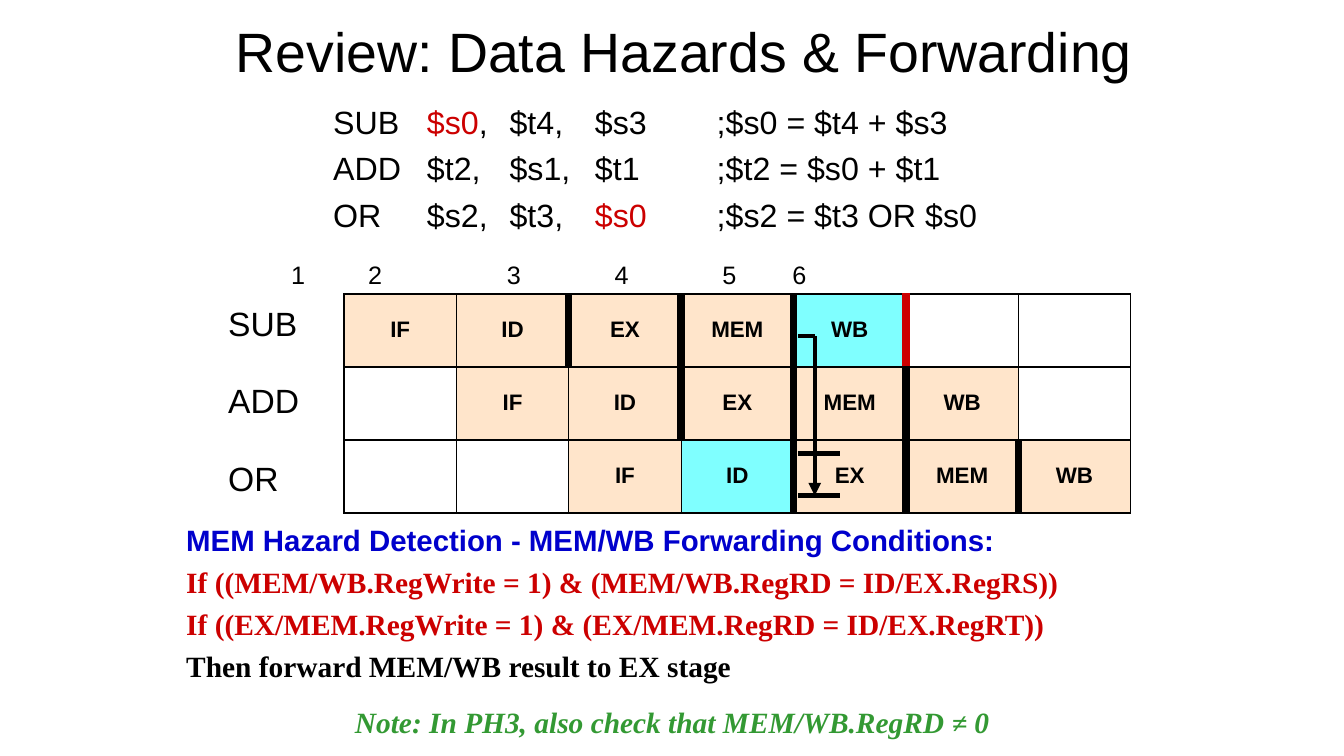
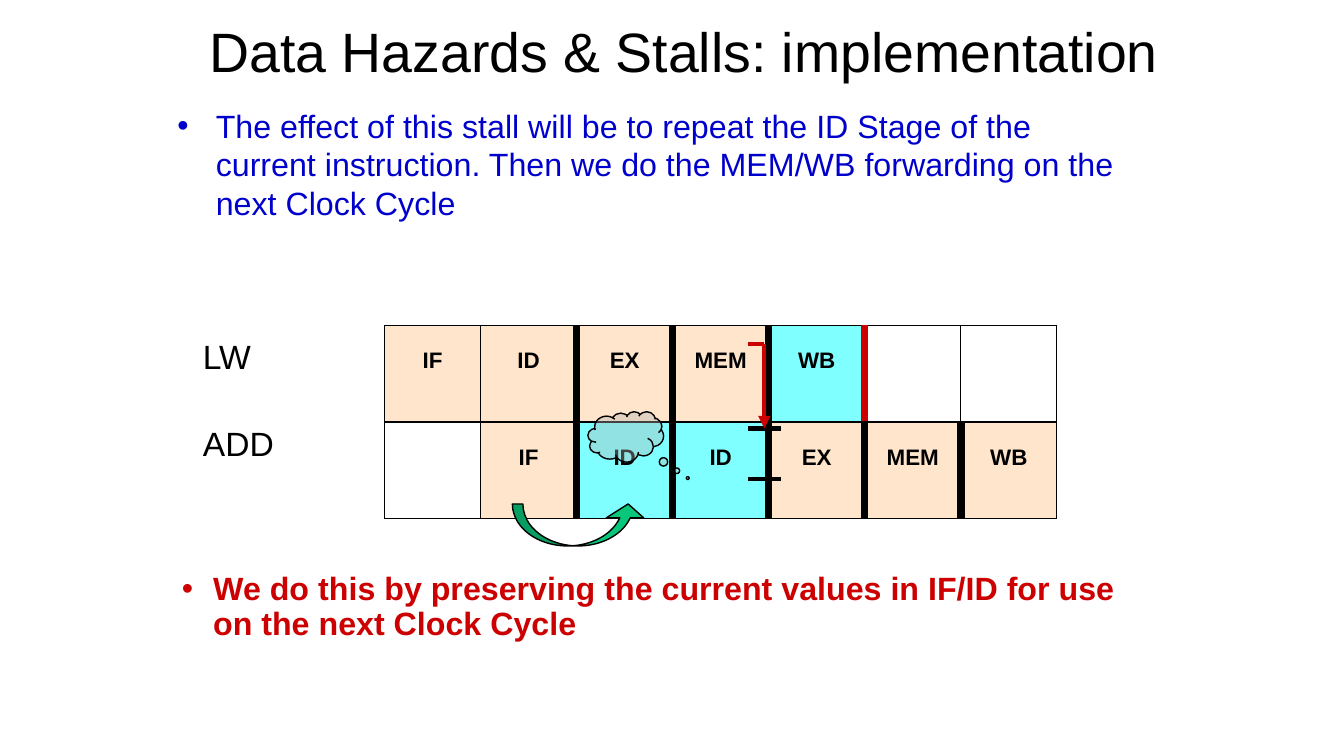
from dataclasses import dataclass, replace

from lxml import etree
from pptx import Presentation
from pptx.dml.color import RGBColor
from pptx.enum.shapes import MSO_CONNECTOR, MSO_SHAPE
from pptx.enum.text import MSO_ANCHOR, MSO_AUTO_SIZE, PP_ALIGN
from pptx.oxml import parse_xml
from pptx.oxml.ns import nsdecls, qn
from pptx.util import Pt

CENTER = PP_ALIGN.CENTER
MIDDLE = MSO_ANCHOR.MIDDLE
NO_AUTOFIT = MSO_AUTO_SIZE.NONE
STRAIGHT = MSO_CONNECTOR.STRAIGHT
CLOUD = MSO_SHAPE.CLOUD_CALLOUT
CURVED_ARROW = MSO_SHAPE.CURVED_UP_ARROW

BLACK, BLUE, RED, GREEN = "000000", "0000CC", "CC0000", "339933"
PEACH, CYAN, GRAY, EMERALD = "FFCC99", "00FFFF", "B2B2B2", "09C77A"
SANS, SERIF = "Arial", "Times New Roman"
TITLE_BOX = (137.5, 12, 702, 48)
COLUMN_COUNT = 7
THIN, THICK = 1, 6


@dataclass(frozen=True)
class Style:
    """Character formatting of one span."""

    size: float
    color: str = BLACK
    font: str = SANS
    bold: bool = False
    italic: bool = False


@dataclass(frozen=True)
class StageRow:
    """One instruction's stages, with the columns that end in a thick edge."""

    start: int
    stages: tuple
    latches: range
    marked: tuple = ()
    write_edge: int = -1


TITLE = Style(39.6)
CODE = Style(23)
LABEL = Style(24)
CYCLE = Style(18)
STAGE = Style(16, bold=True)
HEADING = Style(21, BLUE, bold=True)
CONDITION = Style(21, RED, SERIF, bold=True)
NOTE = replace(CONDITION, color=GREEN, italic=True)


def rgb(value):
    """Turn a hex string into a colour."""
    return RGBColor.from_string(value)


def points(values):
    """Turn numbers into point lengths."""
    return [Pt(value) for value in values]


def set_fill(fill, color, opacity=100):
    """Fill with a solid colour at an opacity in percent."""
    fill.solid()
    fill.fore_color.rgb = rgb(color)
    if opacity < 100:
        color_node = fill._xPr.find(qn("a:solidFill"))[0]
        etree.SubElement(color_node, qn("a:alpha")).set("val", str(opacity * 1000))


def add_span(para, text, style):
    """Add one formatted run."""
    span = para.add_run()
    span.text = text
    font = span.font
    font.name, font.size = style.font, Pt(style.size)
    font.bold, font.italic = style.bold, style.italic
    font.color.rgb = rgb(style.color)


def add_para(frame, spans, gap=0, spacing=None, align=None):
    """Add a paragraph of spans, with the gap left out on the first one."""
    para = frame.paragraphs[0]
    if para.runs:
        para = frame.add_paragraph()
        para.space_before = Pt(gap)
    if spacing:
        para.line_spacing = spacing
    if align:
        para.alignment = align
    for text, style in spans:
        add_span(para, text, style)
    return para


def set_tabs(para, stops):
    """Give a paragraph left tab stops."""
    tab_list = etree.SubElement(para._p.get_or_add_pPr(), qn("a:tabLst"))
    for stop in stops:
        etree.SubElement(tab_list, qn("a:tab"), pos=str(Pt(stop)), algn="l")


def set_bullet(para, indent):
    """Give a paragraph a round bullet and a hanging indent."""
    properties = para._p.get_or_add_pPr()
    properties.set("marL", str(Pt(indent)))
    properties.set("indent", str(-Pt(indent)))
    etree.SubElement(properties, qn("a:buFont")).set("typeface", SANS)
    etree.SubElement(properties, qn("a:buChar")).set("char", "•")


def add_frame(page, box):
    """Add a wrapping text box without margins and return its frame."""
    frame = page.shapes.add_textbox(*points(box)).text_frame
    frame.word_wrap = True
    frame.margin_left = frame.margin_right = frame.margin_top = frame.margin_bottom = 0
    return frame


def add_page(deck, title):
    """Add a title-only slide with its formatted title."""
    page = deck.slides.add_slide(deck.slide_layouts[5])
    holder = page.shapes.title
    holder.left, holder.top, holder.width, holder.height = points(TITLE_BOX)
    frame = holder.text_frame
    frame.word_wrap = True
    frame.auto_size = NO_AUTOFIT
    frame.vertical_anchor = MIDDLE
    add_para(frame, [(title, TITLE)], align=CENTER)
    return page


def add_code(page, box):
    """Write the instruction listing in tabbed columns."""
    frame = add_frame(page, box)
    red = replace(CODE, color=RED)
    listing = (
        [("SUB\t", CODE), ("$s0", red), (",\t$t4,\t$s3\t;$s0 = $t4 + $s3", CODE)],
        [("ADD\t$t2,\t$s1,\t$t1\t;$t2 = $s0 + $t1", CODE)],
        [("OR\t$s2,\t$t3,\t", CODE), ("$s0", red), ("\t;$s2 = $t3 OR $s0", CODE)],
    )
    for spans in listing:
        set_tabs(add_para(frame, spans, gap=5.7), (67, 126, 187, 274))


def add_cycles(page, box):
    """Write the clock cycle numbers above the pipeline."""
    para = add_para(add_frame(page, box), [("1\t2\t3\t4\t5\t6", CYCLE)])
    set_tabs(para, (55, 154, 231, 308, 358))


def add_labels(page, box, names, gap):
    """Write the instruction names beside the pipeline."""
    frame = add_frame(page, box)
    for name in names:
        add_para(frame, [(name, LABEL)], gap=gap)


def add_bullet(page, box, text, style, indent, spacing):
    """Write one bulleted statement."""
    para = add_para(add_frame(page, box), [(text, style)], spacing=spacing)
    set_bullet(para, indent)


def set_borders(cell, left, right):
    """Draw a cell's four edges; left and right are colour and width pairs."""
    thin = (BLACK, THIN)
    edges = (("L", left), ("R", right), ("T", thin), ("B", thin))
    for index, (side, (color, width)) in enumerate(edges):
        cell._tc.get_or_add_tcPr().insert(index, parse_xml(
            f'<a:ln{side} {nsdecls("a")} w="{Pt(width)}"><a:solidFill>'
            f'<a:srgbClr val="{color}"/></a:solidFill></a:ln{side}>'))


def edge_after(row, column):
    """Return the colour and width of the edge to the right of a column."""
    if column >= 0 and column == row.write_edge:
        return RED, THICK
    return BLACK, THICK if column in row.latches else THIN


def add_pipeline(page, box, rows):
    """Draw the pipeline table inside its box."""
    table = page.shapes.add_table(len(rows), COLUMN_COUNT, *points(box)).table
    table.first_row = table.horz_banding = False
    for column in table.columns:
        column.width = Pt(box[2] / COLUMN_COUNT)
    for row_index, row in enumerate(rows):
        table.rows[row_index].height = Pt(box[3] / len(rows))
        for column in range(COLUMN_COUNT):
            cell = table.cell(row_index, column)
            cell.fill.background()
            if row.start <= column < row.start + len(row.stages):
                set_fill(cell.fill, CYAN if column in row.marked else PEACH, 50)
                cell.margin_left = cell.margin_right = cell.margin_bottom = Pt(3.6)
                cell.margin_top = Pt(18)
                stage = row.stages[column - row.start]
                add_para(cell.text_frame, [(stage, STAGE)], spacing=0.9, align=CENTER)
            set_borders(cell, edge_after(row, column - 1), edge_after(row, column))


def add_line(page, start, end, color, arrow=False):
    """Draw a straight line, with an arrowhead at its end if asked."""
    line = page.shapes.add_connector(STRAIGHT, *points(start + end))
    line.line.color.rgb = rgb(color)
    line.line.width = Pt(3)
    if arrow:
        etree.SubElement(line.line._get_or_add_ln(), qn("a:tailEnd")).set("type", "triangle")
    etree.SubElement(line._element.spPr, qn("a:effectLst"))


def add_forwarding(page, box, bars, reach, color):
    """Draw input bars and the forwarding arrow; bars and reach are below the top."""
    left, top, width = box
    drop = left + 12
    for bar in bars:
        add_line(page, (left, top + bar), (left + width, top + bar), BLACK)
    add_line(page, (drop, top), (drop, top + reach), color, arrow=True)
    add_line(page, (left, top), (drop, top), color)


def add_symbol(page, kind, box, adjustments, color, opacity=100):
    """Draw an outlined preset shape."""
    shape = page.shapes.add_shape(kind, *points(box))
    shape.shadow.inherit = False
    for index, value in enumerate(adjustments):
        shape.adjustments[index] = value
    set_fill(shape.fill, color, opacity)
    shape.line.color.rgb = rgb(BLACK)
    shape.line.width = Pt(THIN)


def add_conditions(page, box):
    """Write the forwarding conditions and the closing note."""
    frame = add_frame(page, box)
    lines = (
        ("MEM Hazard Detection - MEM/WB Forwarding Conditions:", HEADING),
        ("If ((MEM/WB.RegWrite = 1) & (MEM/WB.RegRD = ID/EX.RegRS))", CONDITION),
        ("If ((EX/MEM.RegWrite = 1) & (EX/MEM.RegRD = ID/EX.RegRT))", CONDITION),
        ("Then forward MEM/WB result to EX stage", replace(CONDITION, color=BLACK)),
    )
    for line in lines:
        add_para(frame, [line], gap=7.5, spacing=0.9)
    note = [("Note: In PH3, also check that MEM/WB.RegRD ", NOTE),
            ("≠ ", replace(NOTE, size=20)), ("0", NOTE)]
    add_para(frame, note, gap=17, spacing=0.9, align=CENTER)


def build_review(deck):
    """Build the slide that reviews forwarding."""
    page = add_page(deck, "Review: Data Hazards & Forwarding")
    stages = ("IF", "ID", "EX", "MEM", "WB")
    add_code(page, (238, 73, 570, 100))
    add_labels(page, (163, 216, 72, 140), ("SUB", "ADD", "OR"), 26.7)
    add_pipeline(page, (245.7, 210, 562, 156.4), (
        StageRow(0, stages, range(1, 4), (4,), write_edge=4),
        StageRow(1, stages, range(2, 5)),
        StageRow(2, stages, range(3, 6), (3,)),
    ))
    add_forwarding(page, (570, 240, 30), (84, 114), 114, BLACK)
    add_conditions(page, (133, 375.5, 694, 145))
    add_cycles(page, (208, 185.5, 400, 22))


def build_stall(deck):
    """Build the slide on implementing stalls."""
    page = add_page(deck, "Data Hazards & Stalls: implementation")
    add_bullet(page, (126.7, 76, 687.6, 100),
               "The effect of this stall will be to repeat the ID Stage of the current "
               "instruction. Then we do the MEM/WB forwarding on the next Clock Cycle",
               replace(CODE, color=BLUE), 27.4, Pt(27.5))
    add_labels(page, (145, 240, 72, 95), ("LW", "ADD"), 33)
    add_pipeline(page, (274.7, 232.4, 480.2, 138), (
        StageRow(0, ("IF", "ID", "EX", "MEM", "WB"), range(1, 4), (4,), write_edge=4),
        StageRow(1, ("IF", "ID", "ID", "EX", "MEM", "WB"), range(1, 6), (2, 3)),
    ))
    add_symbol(page, CLOUD, (420, 294, 54, 36), (0.82, 0.82), GRAY, 37)
    add_forwarding(page, (534, 246, 24), (60, 96), 60, RED)
    add_bullet(page, (130, 409, 681, 70),
               "We do this by preserving the current values in IF/ID for use on the next Clock Cycle",
               replace(CODE, color=RED, bold=True), 22.3, 0.9)
    add_symbol(page, CURVED_ARROW, (366, 360, 96, 30), (0.25, 0.89, 0.33), EMERALD)


def main():
    """Build and save the deck."""
    deck = Presentation()
    deck.slide_width, deck.slide_height = Pt(960), Pt(540)
    build_review(deck)
    build_stall(deck)
    deck.save("out.pptx")


if __name__ == "__main__":
    main()
